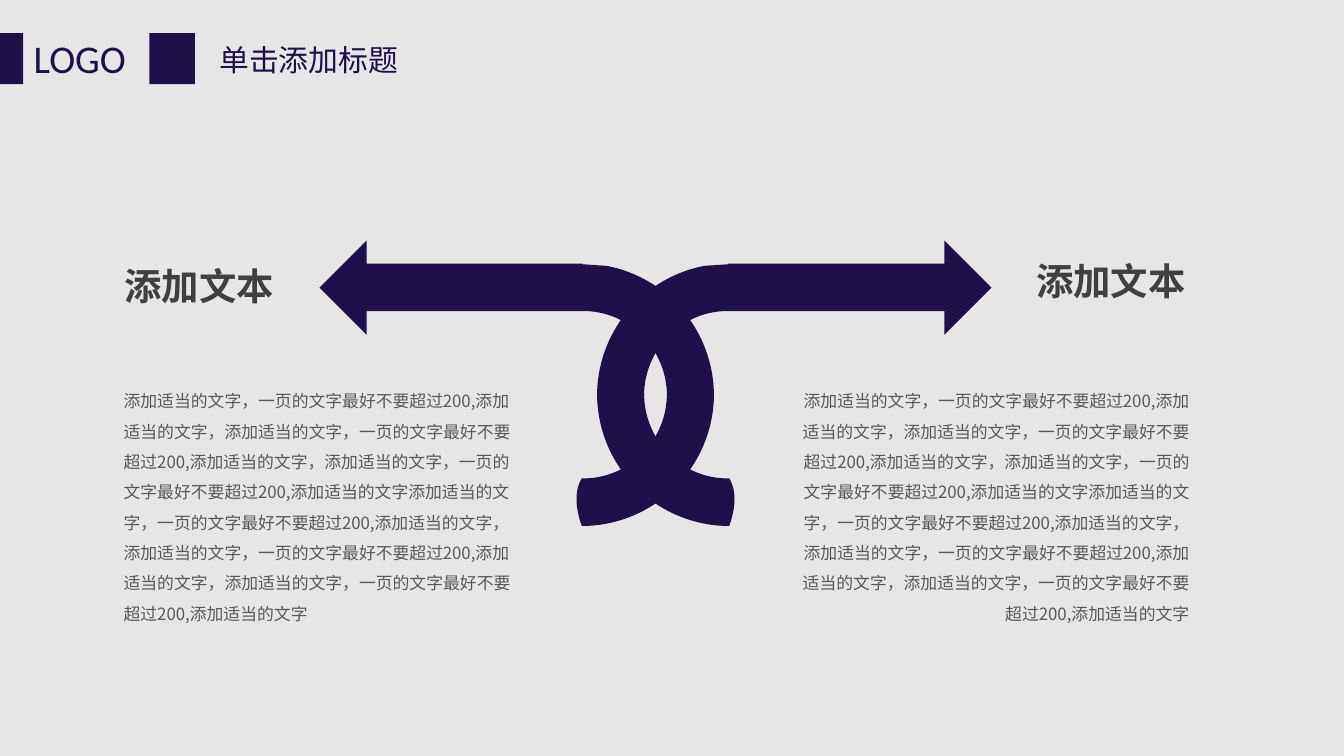
from math import cos, radians, sin, tan

from lxml.etree import SubElement
from pptx import Presentation
from pptx.dml.color import RGBColor
from pptx.enum.shapes import MSO_SHAPE as Preset
from pptx.enum.text import MSO_AUTO_SIZE as AutoSize, PP_ALIGN as Align
from pptx.oxml.ns import qn
from pptx.util import Pt

NAVY, BACKDROP, HEADING, BODY = "1F1049", "E7E6E6", "404040", "595959"
CJK = "Noto Sans CJK SC"
AXIS = 351.2
CENTRE, OUTER, INNER = 39.5, 70.8, 45.6

ADD = "添加适当的文字"
LIMIT = "一页的文字最好不要超过200,"
PASSAGE = (f"{ADD}，{LIMIT}" + f"{ADD}，{ADD}，{LIMIT}" * 2 + ADD) * 2


def paint(fill, colour):
    """Give a fill one solid colour."""
    fill.solid()
    fill.fore_color.rgb = RGBColor.from_string(colour)


def finish(shape):
    """Make a shape plain navy, without line or shadow."""
    paint(shape.fill, NAVY)
    shape.line.fill.background()
    shape.shadow.inherit = False


def add_block(slide, left, width):
    """Add a navy block to the header."""
    finish(slide.shapes.add_shape(Preset.RECTANGLE, Pt(left), Pt(17.7), Pt(width), Pt(27.4)))


def add_text(slide, box, words, size, colour, font=CJK, bold=False,
             align=Align.LEFT, spacing=None, wrap=True, insets=(7.2, 3.6)):
    """Add a text box holding one paragraph."""
    frame = slide.shapes.add_textbox(*map(Pt, box)).text_frame
    frame.word_wrap = wrap
    frame.auto_size = AutoSize.SHAPE_TO_FIT_TEXT
    frame.margin_left = frame.margin_right = Pt(insets[0])
    frame.margin_top = frame.margin_bottom = Pt(insets[1])
    paragraph = frame.paragraphs[0]
    paragraph.text = words
    paragraph.alignment = align
    paragraph.line_spacing = spacing
    run = paragraph.runs[0]
    run.font.size = Pt(size)
    run.font.bold = bold
    run.font.name = font
    paint(run.font.fill, colour)
    SubElement(run.font._element, qn("a:ea")).set("typeface", CJK)


def arc(radius, middle, *angles):
    """List the curves of a ribbon arc through the given angles."""
    curves = []
    for start, end in zip(angles, angles[1:]):
        a, b = radians(start), radians(end)
        pull = 4 / 3 * tan((b - a) / 4)
        unit = [(cos(a) - pull * sin(a), sin(a) + pull * cos(a)),
                (cos(b) + pull * sin(b), sin(b) - pull * cos(b)),
                (cos(b), sin(b))]
        curves.append([(CENTRE + radius * x, middle - radius * y) for x, y in unit])
    return curves


def add_outline(slide, box, steps, side):
    """Draw a closed outline of lines and curves on one side of the axis."""
    near, top, far, bottom = box
    left = min(AXIS + side * near, AXIS + side * far)
    builder = slide.shapes.build_freeform(Pt(left), Pt(top))
    right = left + far - near
    builder.add_line_segments([(Pt(right), Pt(top)), (Pt(right), Pt(bottom)),
                               (Pt(left), Pt(bottom))])
    shape = builder.convert_to_shape()
    outline = next(shape._element.iter(qn("a:path")))
    for corner in list(outline):
        outline.remove(corner)
    for index, points in enumerate(steps):
        tag = "a:moveTo" if index == 0 else "a:lnTo" if len(points) == 1 else "a:cubicBezTo"
        step = SubElement(outline, qn(tag))
        for x, y in points:
            point = SubElement(step, qn("a:pt"))
            point.set("x", str(Pt(AXIS + side * x - left)))
            point.set("y", str(Pt(y - top)))
    SubElement(outline, qn("a:close"))
    finish(shape)


def arrow_steps():
    """List the steps of the arrow and its upper bend."""
    head = [[(154.8, 128.9)], [(180, 154.1)], [(154.8, 179.3)], [(154.8, 166.7)],
            [(39.5, 166.7)]]
    bend = arc(INNER, 212, 90, 135, 180) + [[(CENTRE - OUTER, 212)]]
    bend += arc(OUTER, 212, 180, 135, 101)
    return head + bend + [[(39, 141.6)], [(39, 141.3)], [(154.8, 141.3)]]


def tail_steps():
    """List the steps of the lower bend and its cut end."""
    start = [(CENTRE - OUTER, 211)]
    end = [(42.5, 273.6), (44, 263.5), (39.5, 256.3)]
    return ([start] + arc(OUTER, 211, 180, 225, 270) + [end]
            + arc(INNER, 211, 270, 225, 180) + [start])


def main():
    """Build the slide and save it."""
    deck = Presentation()
    deck.slide_width, deck.slide_height = Pt(720), Pt(405)
    slide = deck.slides.add_slide(deck.slide_layouts[6])
    paint(slide.background.fill, BACKDROP)

    add_text(slide, (11, 15, 72.5, 32.5), "LOGO", 21, NAVY, "Calibri")
    for left, width in ((0, 12.4), (80, 24.4)):
        add_block(slide, left, width)
    add_text(slide, (110.4, 18.6, 155.5, 26.6), "单击添加标题", 16, NAVY, "Calibri")

    ribbons = (((-31.3, 128.9, 180, 212), arrow_steps()),
               ((-31.3, 211, 42, 281.8), tail_steps()))
    for box, steps in ribbons:
        for side in (1, -1):
            add_outline(slide, box, steps, side)

    for left, width, align in ((419, 224.8, Align.RIGHT), (59.5, 222.8, Align.LEFT)):
        add_text(slide, (left, 200.7, width, 136), PASSAGE, 9, BODY,
                 align=align, spacing=1.5, insets=(6.75, 3.4))
    for left, top in ((59.5, 137.4), (548, 134.5)):
        add_text(slide, (left, top, 95, 31.5), "添加文本", 20, HEADING,
                 bold=True, wrap=False)

    deck.save("out.pptx")


main()
